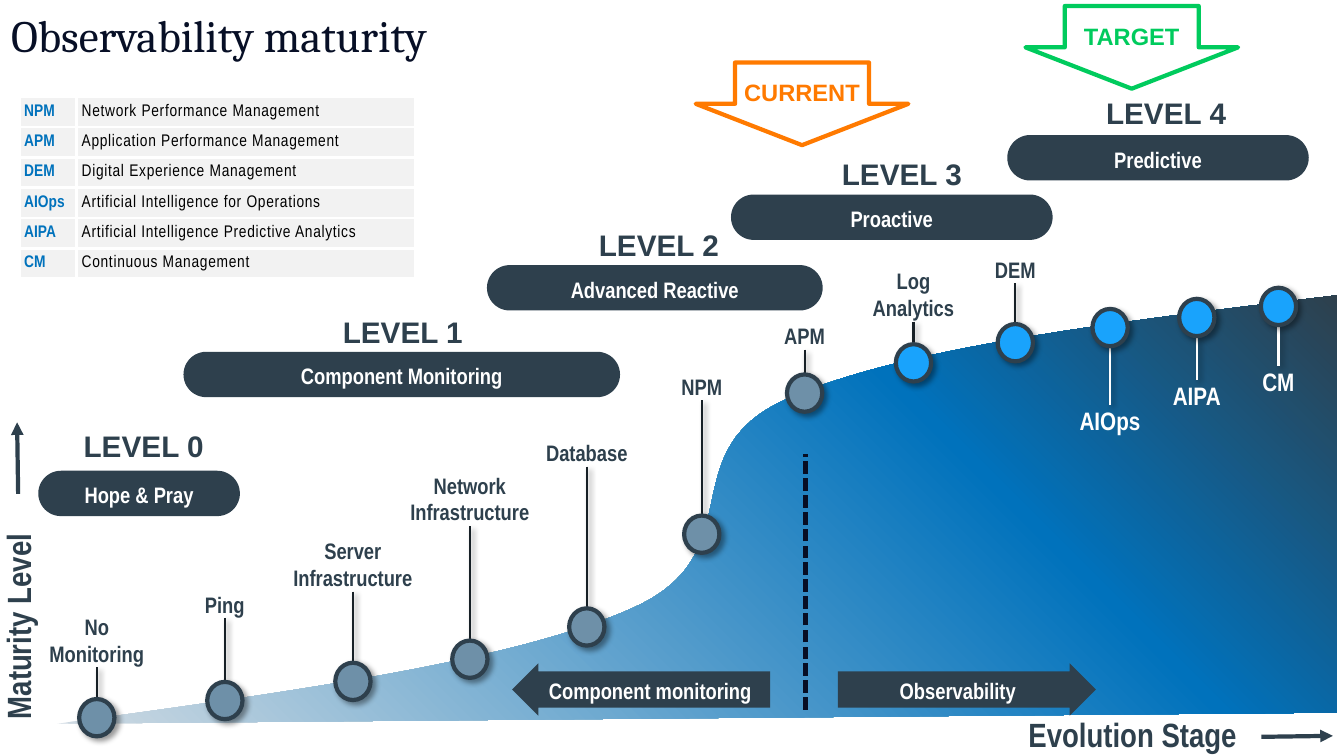
import copy

import lxml.etree
import pptx
import pptx.dml.color
import pptx.enum.dml
import pptx.enum.shapes
import pptx.enum.text
import pptx.oxml.ns
import pptx.util

Inches, Pt = pptx.util.Inches, pptx.util.Pt
SHAPE = pptx.enum.shapes.MSO_SHAPE
ALIGN = pptx.enum.text.PP_ALIGN
ANCHOR = pptx.enum.text.MSO_ANCHOR

SLATE, GREY, BLUE, CYAN = "2E404D", "6E90A8", "0072BC", "19A3FC"
WHITE, INK, NARROW = "FFFFFF", "172026", "Arial Narrow"

TERMS = [
    ("NPM", "Network Performance Management"),
    ("APM", "Application Performance Management"),
    ("DEM", "Digital Experience Management"),
    ("AIOps", "Artificial Intelligence for Operations"),
    ("AIPA", "Artificial Intelligence Predictive Analytics"),
    ("CM", "Continuous Management"),
]
# pill text, pill left, top, width, heading left, top
LEVELS = [
    ("Hope & Pray", 0.38, 4.67, 2, 0.73, 4.19),
    ("Component Monitoring", 1.82, 3.49, 4.33, 3.3, 3.06),
    ("Advanced Reactive", 4.83, 2.63, 3.33, 5.84, 2.2),
    ("Proactive", 7.25, 1.93, 3.19, 8.25, 1.5),
    ("Predictive", 9.99, 1.34, 2.99, 10.87, 0.89),
]
# label, node centre x, y, stem end at the label, node colour
NODES = [
    ("No\nMonitoring", 0.96, 7.12, 6.62, GREY),
    ("Ping", 2.23, 6.95, 6.13, GREY),
    ("Server Infrastructure", 3.5, 6.76, 5.87, GREY),
    ("Network Infrastructure", 4.66, 6.54, 5.22, GREY),
    ("Database", 5.82, 6.22, 4.63, GREY),
    ("NPM", 6.96, 5.3, 3.97, GREY),
    ("APM", 7.98, 3.9, 3.47, GREY),
    ("Log\nAnalytics", 9.06, 3.6, 3.19, CYAN),
    ("DEM", 10.07, 3.4, 2.81, CYAN),
    ("AIOps", 11.01, 3.25, 4.02, CYAN),
    ("AIPA", 11.87, 3.15, 3.77, CYAN),
    ("CM", 12.68, 3.04, 3.63, CYAN),
]


def rgb(value):
    return pptx.dml.color.RGBColor.from_string(value)


def sub(parent, tag, **attrs):
    return lxml.etree.SubElement(parent, pptx.oxml.ns.qn(tag), **attrs)


def add_effects(parent, shadow):
    effects = sub(parent, "a:effectLst")
    if shadow:
        outer = sub(effects, "a:outerShdw", blurRad=str(Pt(4)), dist=str(Pt(3)),
                    dir="2700000", algn="tl", rotWithShape="0")
        sub(sub(outer, "a:srgbClr", val="000000"), "a:alpha", val="40000")


def write(tf, text, size, color, font=NARROW, bold=True, align=ALIGN.LEFT,
          shadow=False, margin=0, anchor=ANCHOR.TOP):
    tf.text = text
    tf.vertical_anchor = anchor
    tf.margin_left = tf.margin_right = tf.margin_top = tf.margin_bottom = Inches(margin)
    for p in tf.paragraphs:
        p.alignment = align
        for r in p.runs:
            r.font.size, r.font.bold = Pt(size), bold
            r.font.color.rgb = rgb(color)
            if shadow:
                add_effects(r.font._element, True)
            r.font.name = font


def add_text(slide, box, text, size, color, wrap=True, **style):
    sp = slide.shapes.add_textbox(*map(Inches, box))
    write(sp.text_frame, text, size, color, **style)
    sp.text_frame.word_wrap = wrap
    return sp


def add_block(slide, kind, box, adjustments=(), fill=None, line=None, width=3, shadow=False):
    sp = slide.shapes.add_shape(kind, *map(Inches, box))
    for i, value in enumerate(adjustments):
        sp.adjustments[i] = value
    if fill:
        sp.fill.solid()
        sp.fill.fore_color.rgb = rgb(fill)
    else:
        sp.fill.background()
    if line:
        sp.line.color.rgb, sp.line.width = rgb(line), Pt(width)
    else:
        sp.line.fill.background()
    add_effects(sp._element.spPr, shadow)
    return sp


def label_block(sp, text, size, color, font=NARROW):
    write(sp.text_frame, text, size, color, font, align=ALIGN.CENTER, margin=0.04,
          anchor=ANCHOR.MIDDLE)
    p = sp.text_frame.paragraphs[0]
    p.line_spacing, p.space_before, p.space_after = 1.1, Pt(2.1), Pt(2.1)


def add_line(slide, start, end, color, width, arrow=False, dash=None, shadow=False):
    kind = pptx.enum.shapes.MSO_CONNECTOR.STRAIGHT
    line = slide.shapes.add_connector(kind, *map(Inches, (*start, *end)))
    line.line.color.rgb, line.line.width = rgb(color), Pt(width)
    if dash:
        line.line.dash_style = dash
    if arrow:
        sub(line.line._get_or_add_ln(), "a:tailEnd", type="triangle")
    add_effects(line._element.spPr, shadow)


def bezier(p0, p1, p2, p3, steps=40):
    for i in range(1, steps + 1):
        t = i / steps
        yield tuple((1 - t) ** 3 * a + 3 * (1 - t) ** 2 * t * b + 3 * (1 - t) * t ** 2 * c
                    + t ** 3 * d for a, b, c, d in zip(p0, p1, p2, p3))


def add_curve(slide, x, y):
    """Maturity area, starting at its lower left tip."""
    knots = [(0, 0), (2.26, -0.31), (4.51, -0.61), (5.71, -1.15), (6.92, -1.69),
             (6.06, -2.7), (7.23, -3.22), (8.39, -3.74), (10.54, -3.99), (12.69, -4.25)]
    points = [pt for i in (0, 3, 6) for pt in bezier(*knots[i:i + 4])] + [(12.69, -0.11)]
    outline = slide.shapes.build_freeform(Inches(x), Inches(y), scale=1.0)
    outline.add_line_segments([(Inches(x + dx), Inches(y + dy)) for dx, dy in points], close=True)
    sp = outline.convert_to_shape()
    sp.shadow.inherit = False
    sp.line.fill.background()
    sp.fill.gradient()
    sp.fill.gradient_angle = 45
    first = sp.fill.gradient_stops[0]._gs
    first.addnext(copy.deepcopy(first))
    for stop, (position, color) in zip(sp.fill.gradient_stops,
                                       [(0, "CFDAE2"), (0.69, BLUE), (1, SLATE)]):
        stop.position, stop.color.rgb = position, rgb(color)


def add_node(slide, label, x, y, stem_y, color):
    w, h = 0.35, 0.37
    above = stem_y < y
    edge = y - h / 2 if above else y + h / 2
    add_line(slide, (x, stem_y), (x, edge), INK if above else WHITE, 1.5, shadow=True)
    add_block(slide, SHAPE.OVAL, (x - w / 2, y - h / 2, w, h), fill=color, line=SLATE, shadow=True)
    height = (0.54 if "\n" in label or " " in label else 0.27) if above else 0.3
    add_text(slide, (x - 0.75, stem_y - height if above else stem_y, 1.5, height), label,
             16 if above else 18, SLATE if above else WHITE, align=ALIGN.CENTER, shadow=True)


def add_level(slide, number, text, x, y, w, head_x, head_y):
    sp = add_block(slide, SHAPE.ROUNDED_RECTANGLE, (x, y, w, 0.45), [0.5], SLATE)
    label_block(sp, text, 16, WHITE)
    add_text(slide, (head_x + 0.1, head_y + 0.05, 1.2, 0.36), f"LEVEL {number}", 21.2, SLATE,
             wrap=False, font="Arial")


def add_glossary(slide, x, y):
    frame = slide.shapes.add_table(len(TERMS), 2, *map(Inches, (x, y, 3.93, 1.8)))
    table = frame.table
    table.first_row = table.horz_banding = False
    for column, width in zip(table.columns, (0.57, 3.36)):
        column.width = Inches(width)
    for row, term in enumerate(TERMS):
        for col, text in enumerate(term):
            cell = table.cell(row, col)
            write(cell.text_frame, text, 12, "000000" if col else BLUE, bold=not col)
            cell.margin_left = cell.margin_right = Inches(0.05)
            cell.margin_top = cell.margin_bottom = Inches(0.05)
            cell.vertical_anchor = ANCHOR.MIDDLE
            if col:
                cell.text_frame.paragraphs[0].runs[0].font._element.set("spc", "50")
            tc_pr = cell._tc.get_or_add_tcPr()
            for side in "LRTB":
                border = sub(tc_pr, f"a:ln{side}", w=str(Pt(2.25)))
                sub(sub(border, "a:solidFill"), "a:srgbClr", val=WHITE)
            cell.fill.solid()
            cell.fill.fore_color.rgb = rgb("F2F2F2")


def add_axes(slide):
    add_line(slide, (0.18, 4.9), (0.17, 4.19), SLATE, 3, arrow=True)
    add_text(slide, (-0.89, 5.87, 2.13, 0.4), "Maturity Level", 24, SLATE).rotation = 270
    add_line(slide, (12.51, 7.31), (13.22, 7.3), SLATE, 3, arrow=True)
    add_text(slide, (10.2, 7.08, 2.15, 0.4), "Evolution Stage", 24, SLATE, wrap=False)


def add_title(slide, box):
    title = slide.shapes.title
    title.left, title.top, title.width, title.height = map(Inches, box)
    write(title.text_frame, "Observability maturity", 32, "070F26", "Cambria", bold=False)
    title.text_frame.margin_left = title.text_frame.margin_right = Inches(0.1)
    title.text_frame.margin_top = Inches(0.05)
    title.text_frame.auto_size = pptx.enum.text.MSO_AUTO_SIZE.NONE


def main():
    prs = pptx.Presentation()
    prs.slide_width, prs.slide_height = Inches(13.33), Inches(7.5)
    slide = prs.slides.add_slide(prs.slide_layouts[5])
    add_title(slide, (0.01, 0.03, 4.82, 0.58))
    add_curve(slide, 0.57, 7.18)
    add_axes(slide)
    for node in NODES:
        add_node(slide, *node)
    for number, level in enumerate(LEVELS):
        add_level(slide, number, *level)
    # Divide between monitoring and observability
    add_line(slide, (7.99, 7.04), (7.99, 4.5), "070E24", 3,
             dash=pptx.enum.dml.MSO_LINE.SQUARE_DOT)
    for kind, x, text in [(SHAPE.LEFT_ARROW, 5.08, "Component monitoring"),
                          (SHAPE.RIGHT_ARROW, 8.31, "Observability")]:
        label_block(add_block(slide, kind, (x, 6.58, 2.56, 0.52), [0.69, 0.5], SLATE),
                    text, 16, WHITE)
    # Current and target markers
    for text, x, y, color in [("CURRENT", 6.9, 0.62, "FF7A00"), ("TARGET", 10.17, 0.06, "00CB5D")]:
        sp = add_block(slide, SHAPE.DOWN_ARROW, (x, y, 2.11, 0.82), [0.63, 0.5], line=color)
        label_block(sp, text, 16.9, color, "Arial")
    add_glossary(slide, 0.19, 0.96)
    prs.save("out.pptx")


if __name__ == "__main__":
    main()
